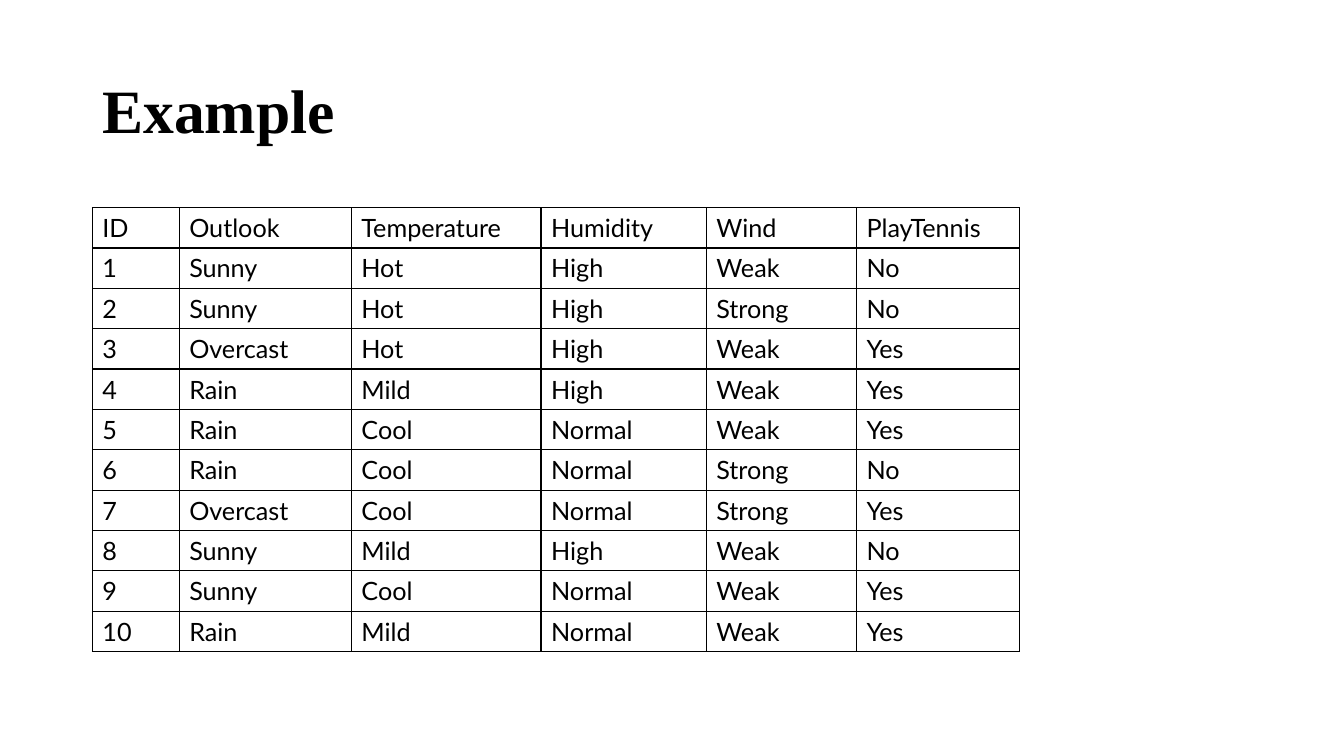
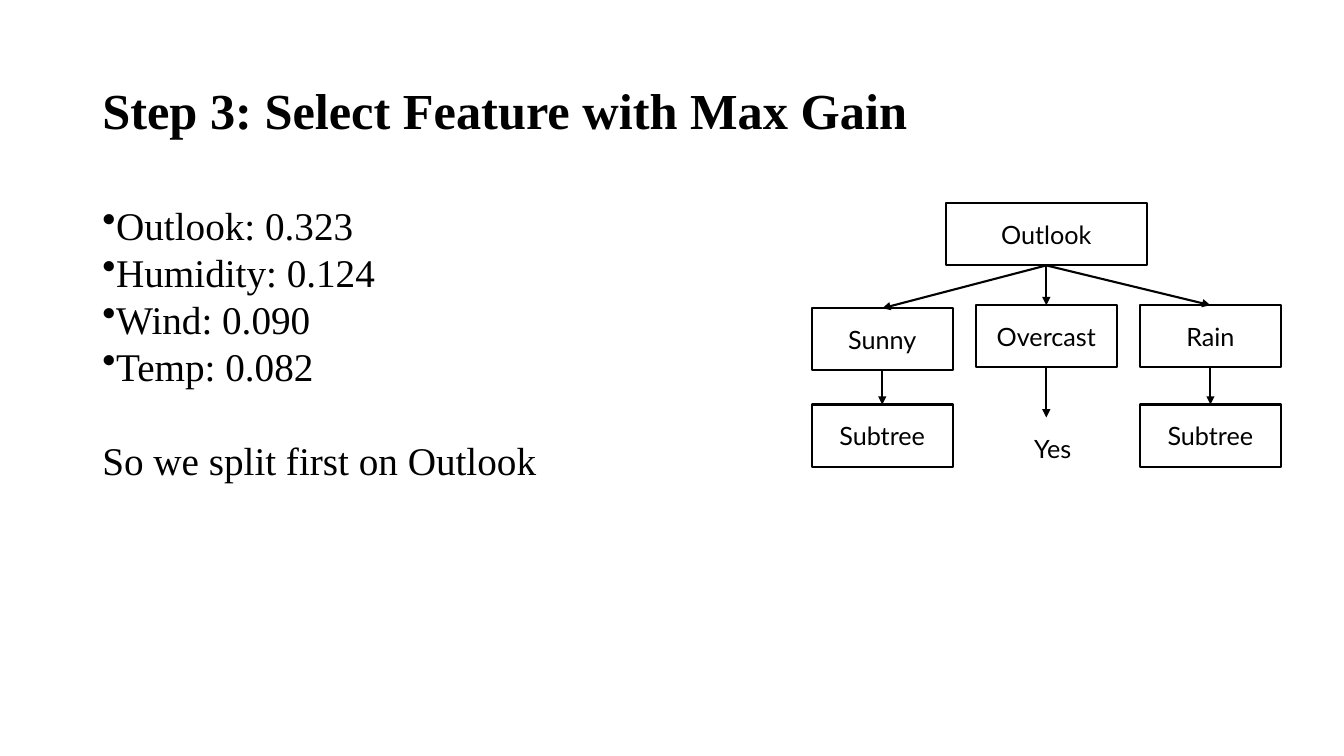
from dataclasses import dataclass
from lxml import etree
from pptx import Presentation
from pptx.dml.color import RGBColor
from pptx.enum import shapes, text
from pptx.oxml import parse_xml
from pptx.oxml.ns import nsdecls, qn
from pptx.util import Pt


@dataclass
class Theme:
    black: RGBColor = RGBColor(0, 0, 0)
    white: RGBColor = RGBColor(255, 255, 255)
    serif: str = "Times New Roman"
    sans: str = "Lato"
    body_size: int = 28
    body_pitch: float = 33.6
    label_size: int = 18
    line_width: float = 1.5


theme = Theme()


def write(p, words, size, font, bold=False):
    p.text = words
    p.font.size = Pt(size)
    p.font.name = font
    p.font.bold = bold
    p.font.color.rgb = theme.black


def arrow(slide, start, end, joined=True):
    """Arrow from the bottom of start to the top of end, or to a point."""
    x, y = (0, 0) if joined else end
    line = slide.shapes.add_connector(shapes.MSO_CONNECTOR.STRAIGHT, 0, 0, Pt(x), Pt(y))
    line.begin_connect(start, 2)
    if joined:
        line.end_connect(end, 0)
    line.line.color.rgb = theme.black
    line.line.width = Pt(theme.line_width)
    etree.SubElement(line.line._get_or_add_ln(), qn("a:tailEnd"), type="triangle")
    etree.SubElement(line._element.spPr, qn("a:effectLst"))


prs = Presentation()
prs.slide_width, prs.slide_height = Pt(960), Pt(540)

# Slides with their titles
slides = []
for title, size in [("Example", 44), ("Step 3: Select Feature with Max Gain", 36)]:
    s = prs.slides.add_slide(prs.slide_layouts[6])
    tf = s.shapes.add_textbox(Pt(66), Pt(28.8), Pt(828), Pt(104.4)).text_frame
    tf.word_wrap = True
    tf.vertical_anchor = text.MSO_ANCHOR.MIDDLE
    p = tf.paragraphs[0]
    p.line_spacing = 0.9
    write(p, title, size, theme.serif, True)
    slides.append(s)
example, step = slides

# Slide 1: weather table
rows = [
    ("ID", "Outlook", "Temperature", "Humidity", "Wind", "PlayTennis"),
    ("1", "Sunny", "Hot", "High", "Weak", "No"),
    ("2", "Sunny", "Hot", "High", "Strong", "No"),
    ("3", "Overcast", "Hot", "High", "Weak", "Yes"),
    ("4", "Rain", "Mild", "High", "Weak", "Yes"),
    ("5", "Rain", "Cool", "Normal", "Weak", "Yes"),
    ("6", "Rain", "Cool", "Normal", "Strong", "No"),
    ("7", "Overcast", "Cool", "Normal", "Strong", "Yes"),
    ("8", "Sunny", "Mild", "High", "Weak", "No"),
    ("9", "Sunny", "Cool", "Normal", "Weak", "Yes"),
    ("10", "Rain", "Mild", "Normal", "Weak", "Yes"),
]
widths = [62, 123, 135.5, 118, 107.3, 116.5]
row_height = 28.8
table = example.shapes.add_table(
    len(rows), len(widths), Pt(66), Pt(148.3), Pt(sum(widths)), Pt(row_height * len(rows))
).table
table.first_row = table.horz_banding = False
for column, width in zip(table.columns, widths):
    column.width = Pt(width)
for r, row in enumerate(rows):
    table.rows[r].height = Pt(row_height)
    for c, value in enumerate(row):
        cell = table.cell(r, c)
        cell.vertical_anchor = text.MSO_ANCHOR.MIDDLE
        write(cell.text_frame.paragraphs[0], value, theme.label_size, theme.sans)
        for side in "LRTB":
            cell._tc.get_or_add_tcPr().append(parse_xml(
                f'<a:ln{side} {nsdecls("a")} w="{Pt(1)}"><a:solidFill>'
                f'<a:srgbClr val="{theme.black}"/></a:solidFill></a:ln{side}>'))
        cell.fill.solid()
        cell.fill.fore_color.rgb = theme.white

# Slide 2: gains and conclusion
gains = ["Outlook: 0.323", "Humidity: 0.124", "Wind: 0.090", "Temp: 0.082"]
tf = step.shapes.add_textbox(Pt(66), Pt(140), Pt(340), Pt(209)).text_frame
tf.word_wrap = True
for i, words in enumerate(gains + ["So we split first on Outlook"]):
    p = tf.paragraphs[0] if i == 0 else tf.add_paragraph()
    p.line_spacing = Pt(theme.body_pitch)
    if i < len(gains):
        etree.SubElement(p._p.get_or_add_pPr(), qn("a:buChar"), char="•")
    else:
        p.space_before = Pt(theme.body_pitch)
    write(p, words, theme.body_size, theme.serif)

# Slide 2: tree boxes as name, label, centre x, top, width, outline
box_height = 44.4
left, middle, right = [630.2 + 117.2 * i for i in range(3)]
nodes = {}
for name, label, x, top, width, outline in [
    ("root", "Outlook", middle, 145.2, 143.4, theme.black),
    ("sunny", "Sunny", left, 220.2, 100.8, theme.black),
    ("overcast", "Overcast", middle, 218, 100.8, theme.black),
    ("rain", "Rain", right, 218, 100.8, theme.black),
    ("sunny subtree", "Subtree", left, 289, 100.8, theme.black),
    ("yes", "Yes", 752, 298.2, 56.8, theme.white),
    ("rain subtree", "Subtree", right, 289, 100.8, theme.black),
]:
    sp = step.shapes.add_shape(
        shapes.MSO_SHAPE.RECTANGLE, Pt(x - width / 2), Pt(top), Pt(width), Pt(box_height))
    sp.shadow.inherit = False
    sp.fill.solid()
    sp.fill.fore_color.rgb = theme.white
    sp.line.color.rgb = outline
    sp.line.width = Pt(theme.line_width)
    tf = sp.text_frame
    tf.vertical_anchor = text.MSO_ANCHOR.MIDDLE
    p = tf.paragraphs[0]
    p.alignment = text.PP_ALIGN.CENTER
    write(p, label, theme.label_size, theme.sans)
    nodes[name] = sp

# Slide 2: tree arrows
for start, end in [("root", "sunny"), ("root", "overcast"), ("root", "rain"),
                   ("sunny", "sunny subtree"), ("rain", "rain subtree")]:
    arrow(step, nodes[start], nodes[end])
arrow(step, nodes["overcast"], (middle, 298.2), joined=False)

prs.save("out.pptx")
